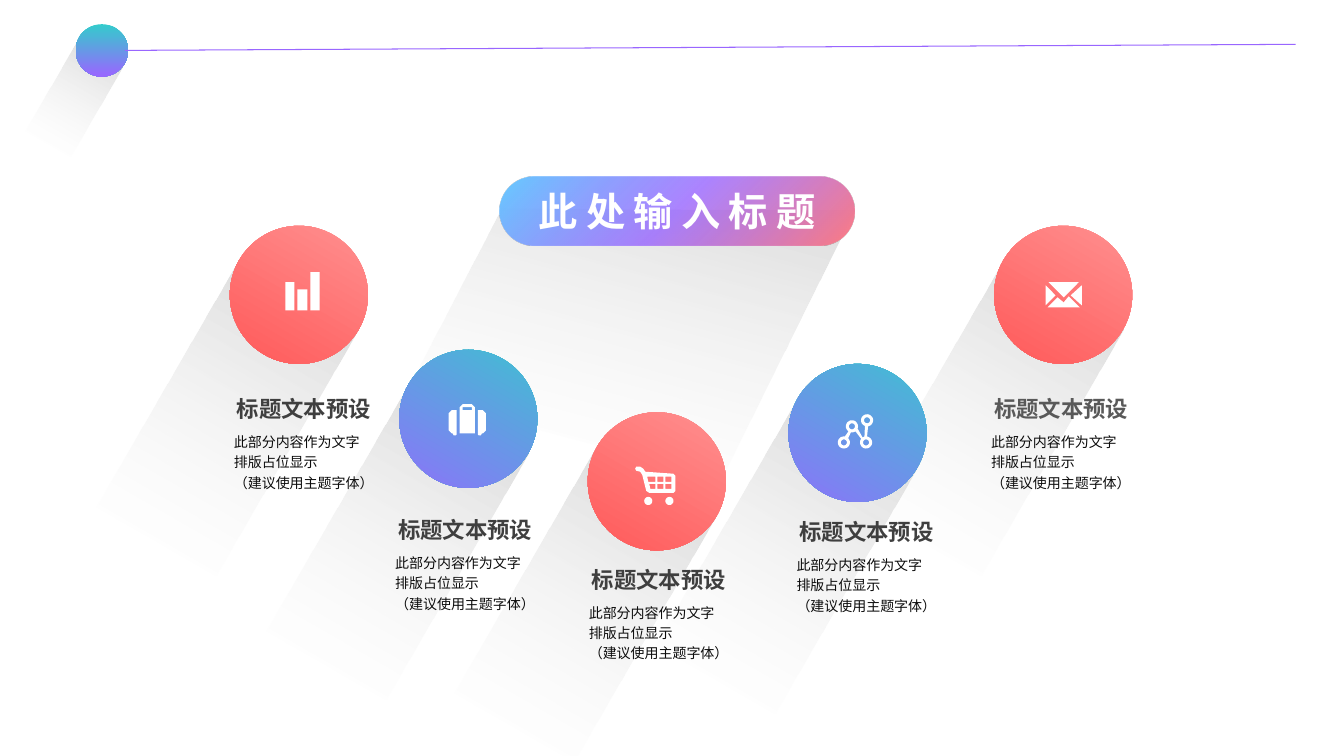
import math

from lxml import etree
from pptx import Presentation
from pptx.dml.color import RGBColor
from pptx.enum.shapes import MSO_CONNECTOR, MSO_SHAPE
from pptx.enum.text import MSO_ANCHOR, MSO_AUTO_SIZE, PP_ALIGN
from pptx.oxml.ns import qn
from pptx.util import Pt

PX = 9144  # EMU per px, 100 px to the inch
FINE = 10  # freeform steps per px
TILT = 30
OVAL, RECT, PILL = MSO_SHAPE.OVAL, MSO_SHAPE.RECTANGLE, MSO_SHAPE.ROUNDED_RECTANGLE
CENTER = PP_ALIGN.CENTER
TOP, MIDDLE, BOTTOM = MSO_ANCHOR.TOP, MSO_ANCHOR.MIDDLE, MSO_ANCHOR.BOTTOM

# Gradient stops: position, colour, opacity (all in percent)
SHADOW = [(0, "BFBFBF", 70), (100, "FFFFFF", 0)]
RED = [(0, "FF9999", 100), (100, "FF5050", 100)]
BLUE = [(0, "33CCCC", 100), (100, "9966FF", 100)]
BANNER = [(0, "66CCFF", 100), (50, "9966FF", 80), (100, "FF7C80", 100)]

BANNER_BOX = (496, 175, 351, 69)
BANNER_SHADOW = [(478, 243), (816, 154), (757, 445), (433, 445)]
HEADING = "标题文本预设"
DETAIL = "此部分内容作为文字\n排版占位显示\n（建议使用主题字体）"


def color(hex_string):
    return RGBColor.from_string(hex_string)


def arc(x, y, radius, start, end):
    """Points on a circle from one angle in degrees to another."""
    steps = 24
    angles = [math.radians(start + (end - start) * i / steps) for i in range(steps + 1)]
    return [(x + radius * math.cos(a), y + radius * math.sin(a)) for a in angles]


def dot(x, y, radius):
    return arc(x, y, radius, 0, 360)


def block(left, top, right, bottom):
    return [(left, top), (right, top), (right, bottom), (left, bottom)]


BARS = [block(283, 280, 292, 308), block(295, 287, 305, 308), block(308, 270, 317, 308)]
SUITCASE = [
    [(474, 407), (479, 407), (482, 410), (482, 427), (479, 430), (478, 430),
     (477, 432), (475, 432), (474, 431)],
    [(448, 407), (453, 407), (453, 431), (452, 432), (450, 432), (449, 430),
     (448, 430), (445, 427), (445, 410)],
    [(459, 401), (468, 401), (471, 404), (471, 430), (456, 430), (456, 404)],
    block(459, 404, 468, 407),
]
CART = [
    [(631, 463), (635, 463), (638, 465), (640, 468), (668, 470), (670, 472), (670, 487),
     (668, 489), (644, 489), (641, 487), (637, 471), (635, 468), (631, 467), (630, 465)],
    [(642, 473), (650, 473), (650, 478), (643, 478)],
    [(644, 480), (650, 480), (650, 485), (645, 485)],
    *[block(x, y, x + 6, y + 5) for x in (652, 660) for y in (473, 480)],
    dot(643, 497, 4), dot(664, 497, 4),
]
NETWORK = [
    arc(860, 417, 6, 80, -250) + arc(859, 439, 6, -105, -125)
    + arc(845, 423, 6, 22, -235) + arc(837, 439, 6, -80, -405)
    + arc(845, 423, 6, 100, 55) + arc(859, 439, 6, -143, -440),
    *[dot(x, y, 3) for x, y in [(860, 417), (859, 439), (845, 423), (837, 439)]],
]
ENVELOPE = [
    [(1073, 283), (1073, 303), (1062, 293)],
    [(1070, 280), (1055, 295), (1040, 280)],
    [(1071, 305), (1039, 305), (1049, 295), (1055, 300), (1060, 294)],
    [(1037, 283), (1047, 293), (1037, 303)],
]

# Circle left, top, gradient, icon; text left, top, heading colour
TOPICS = [
    (228, 224, RED, BARS, 202, 372, "3F3F3F"),
    (396, 347, BLUE, SUITCASE, 362, 492, "3F3F3F"),
    (583, 409, RED, CART, 554, 541, "3F3F3F"),
    (782, 361, BLUE, NETWORK, 760, 494, "3F3F3F"),
    (986, 224, RED, ENVELOPE, 953, 372, "595959"),
]
DIAMETER = 137


def finish(shape, stops, angle=90, rotation=0):
    """Gradient fill, no outline, no shadow effect."""
    shape.shadow.inherit = False
    shape.line.fill.background()
    shape.rotation = rotation
    shape.fill.gradient()
    shape.fill.gradient_angle = 360 - angle
    stop_list = next(shape._element.iter(qn("a:gsLst")))
    for stop in list(stop_list):
        stop_list.remove(stop)
    for position, hex_string, opacity in stops:
        stop = etree.SubElement(stop_list, qn("a:gs"), pos=str(position * 1000))
        tint = etree.SubElement(stop, qn("a:srgbClr"), val=hex_string)
        etree.SubElement(tint, qn("a:alpha"), val=str(opacity * 1000))


def add_preset(page, kind, box, stops, angle=90, rotation=0):
    shape = page.shapes.add_shape(kind, *[round(v * PX) for v in box])
    finish(shape, stops, angle, rotation)
    return shape


def add_circle(page, left, top, diameter, stops, rotation=TILT):
    add_preset(page, OVAL, (left, top, diameter, diameter), stops, rotation=rotation)


def add_long_shadow(page, left, top, diameter, length):
    """Tilted strip that starts at the circle's centre."""
    tilt = math.radians(TILT)
    x = left - length / 2 * math.sin(tilt)
    y = top + diameter / 2 + length / 2 * (math.cos(tilt) - 1)
    add_preset(page, RECT, (x, y, diameter, length), SHADOW, rotation=TILT)


def add_outline(page, contours):
    builder = None
    for contour in contours:
        points = [(x * FINE, y * FINE) for x, y in contour]
        if builder is None:
            builder = page.shapes.build_freeform(*points[0], scale=PX / FINE)
        else:
            builder.move_to(*points[0])
        builder.add_line_segments(points[1:], close=True)
    return builder.convert_to_shape()


def add_icon(page, contours):
    icon = add_outline(page, contours)
    icon.shadow.inherit = False
    icon.line.fill.background()
    icon.fill.solid()
    icon.fill.fore_color.rgb = color("FFFFFF")


def add_rule(page, x1, y1, x2, y2):
    rule = page.shapes.add_connector(MSO_CONNECTOR.STRAIGHT, *[v * PX for v in (x1, y1, x2, y2)])
    rule.line.color.rgb = color("9966FF")
    rule.line.width = Pt(0.75)
    etree.SubElement(rule._element.spPr, qn("a:effectLst"))


def style_text(frame, size, hex_string, bold=False, align=None, spacing=None):
    for para in frame.paragraphs:
        para.alignment = align
        para.line_spacing = spacing
        for span in para.runs:
            span.font.name = "Arial"
            span.font.size = Pt(size)
            span.font.bold = bold
            span.font.color.rgb = color(hex_string)


def add_text(page, box, text, anchor, wrap, left_inset=0, top_inset=0):
    frame = page.shapes.add_textbox(*[v * PX for v in box]).text_frame
    frame.margin_right = frame.margin_bottom = 0
    frame.margin_left = left_inset * PX
    frame.margin_top = top_inset * PX
    frame.vertical_anchor = anchor
    frame.word_wrap = wrap
    frame.text = text
    return frame


def add_caption(page, left, top, hex_string):
    heading = add_text(page, (left, top, 199, 47), HEADING, BOTTOM, False)
    style_text(heading, 16, hex_string, bold=True, align=CENTER)
    detail = add_text(page, (left, top + 47, 199, 89), DETAIL, TOP, True,
                      left_inset=30, top_inset=8)
    style_text(detail, 10, "0C0C0C", spacing=1.2)


def add_banner(page):
    finish(add_outline(page, [BANNER_SHADOW]), SHADOW, rotation=15)
    pill = add_preset(page, PILL, BANNER_BOX, BANNER, angle=45)
    pill.adjustments[0] = 0.5
    title = page.shapes.title
    title.left, title.top, title.width, title.height = [v * PX for v in BANNER_BOX]
    frame = title.text_frame
    frame.text = "此处输入标题"
    frame.auto_size = MSO_AUTO_SIZE.NONE
    frame.vertical_anchor = MIDDLE
    style_text(frame, 28, "FFFFFF", bold=True, align=CENTER)
    frame.paragraphs[0].runs[0].font._element.set("spc", "600")
    pill._element.addnext(title._element)


def main():
    deck = Presentation()
    deck.slide_width, deck.slide_height = 1333 * PX, 750 * PX
    page = deck.slides.add_slide(deck.slide_layouts[5])
    add_long_shadow(page, 75, 24, 52, 107)
    add_circle(page, 75, 24, 52, BLUE, rotation=0)
    add_rule(page, 124, 50, 1285, 44)
    add_banner(page)
    for left, top, *_ in TOPICS:
        add_long_shadow(page, left, top, DIAMETER, 282)
    for left, top, stops, icon, text_left, text_top, hex_string in TOPICS:
        add_caption(page, text_left, text_top, hex_string)
        add_circle(page, left, top, DIAMETER, stops)
        add_icon(page, icon)
    deck.save("out.pptx")


if __name__ == "__main__":
    main()
